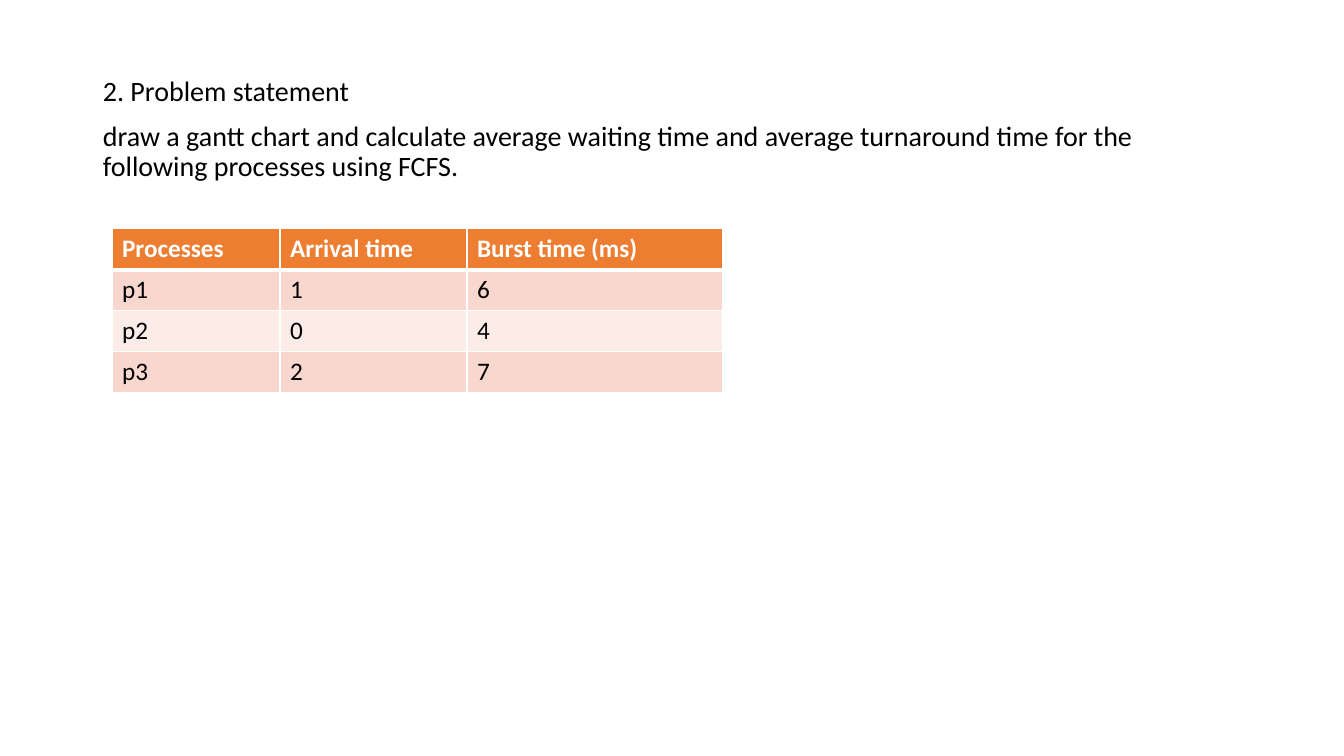
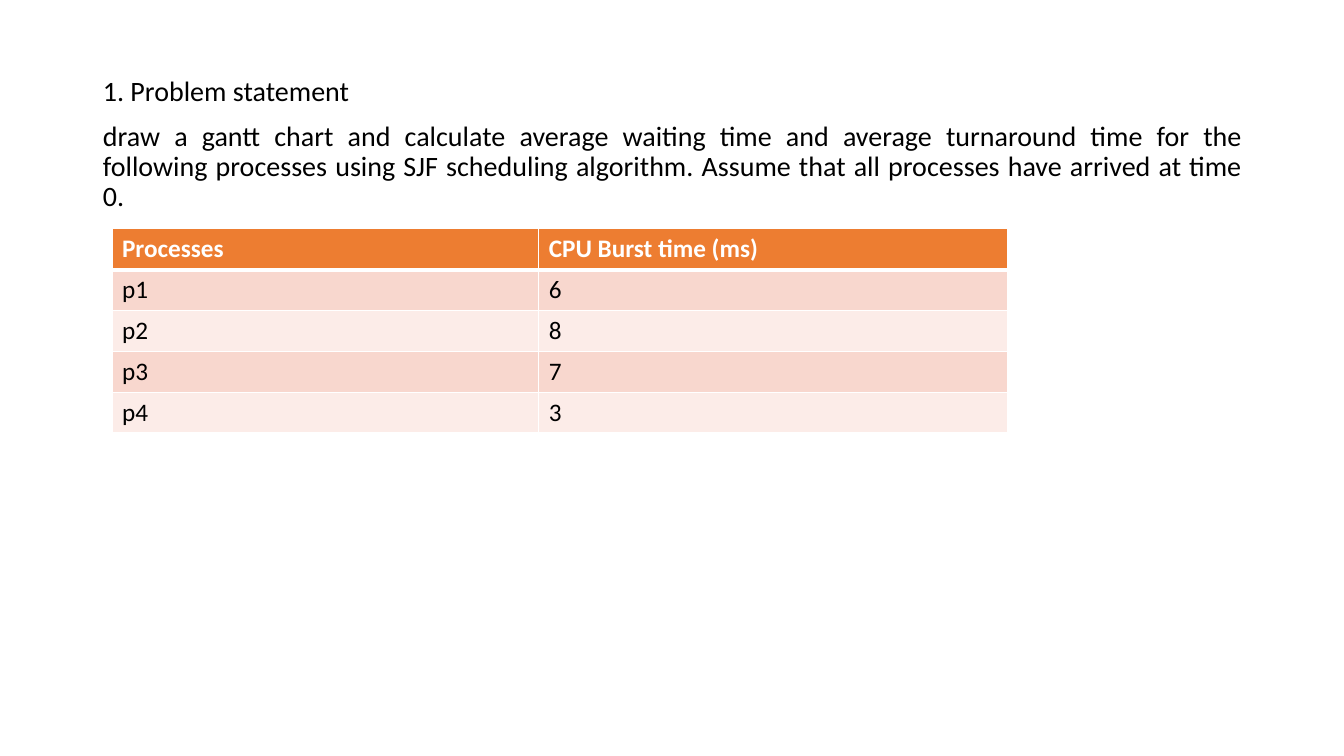
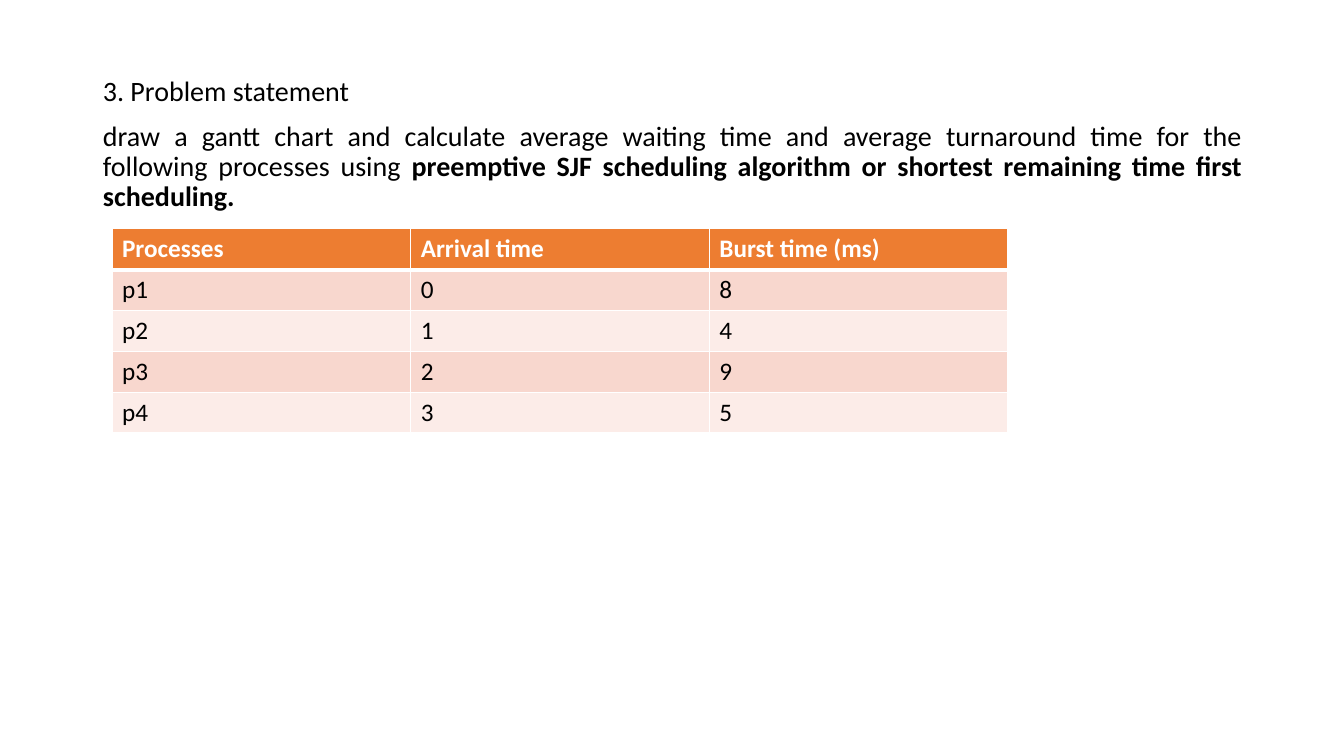
from lxml.etree import SubElement
from pptx import Presentation
from pptx.dml.color import RGBColor
from pptx.enum.text import MSO_ANCHOR, PP_ALIGN
from pptx.oxml.ns import qn
from pptx.util import Inches, Pt

# Shared style
FONT = "Calibri"
BLACK = RGBColor(0x00, 0x00, 0x00)
WHITE = RGBColor(0xFF, 0xFF, 0xFF)
ORANGE = RGBColor(0xED, 0x7D, 0x31)
DARK_BAND = RGBColor(0xF8, 0xD7, 0xCE)
LIGHT_BAND = RGBColor(0xFC, 0xEC, 0xE8)

BODY = {"name": FONT, "size": Pt(20), "bold": False}
STRONG = {**BODY, "bold": True}
CELL = {"name": FONT, "size": Pt(18), "bold": False}
HEADER = {**CELL, "bold": True}

# Slide grid
WIDTH, HEIGHT = Inches(13.33), Inches(7.5)
COLUMNS, ROWS = 12, 18.5
TABLE_LEFT, TABLE_TOP = 1, 5.6
TABLE_COLUMNS = 8

TASK = (
    "draw a gantt chart and calculate average waiting time and average "
    "turnaround time for the following processes using "
)


def across(columns):
    return round(WIDTH * columns / COLUMNS)


def down(rows):
    return round(HEIGHT * rows / ROWS)


class Deck:
    """Holds the presentation, its style and the current slide."""

    def __init__(self):
        self.presentation = Presentation()
        self.presentation.slide_width = WIDTH
        self.presentation.slide_height = HEIGHT
        self.slide = None

    def add_slide(self):
        blank = self.presentation.slide_layouts[6]
        self.slide = self.presentation.slides.add_slide(blank)

    def add_text(self, paragraph, text, style, color):
        run = paragraph.add_run()
        run.text = text
        for name, value in style.items():
            setattr(run.font, name, value)
        run.font.color.rgb = color

    def statement(self, number, runs, alignment, rows):
        """Numbered heading above the task; runs are (text, style) pairs."""
        shape = self.slide.shapes.add_textbox(
            across(0.83), down(0.69), across(10.35), down(rows))
        frame = shape.text_frame
        frame.word_wrap = True
        frame.vertical_anchor = MSO_ANCHOR.TOP
        frame.margin_top = Inches(0.49)
        heading = [(f"{number}. Problem statement", BODY)]
        paragraphs = (frame.paragraphs[0], frame.add_paragraph())
        formats = (
            {"alignment": PP_ALIGN.LEFT, "space_before": Pt(0)},
            {"alignment": alignment, "space_before": Pt(10)},
        )
        for paragraph, values, content in zip(paragraphs, formats, (heading, runs)):
            for name, value in {"line_spacing": 0.9, **values}.items():
                setattr(paragraph, name, value)
            for text, style in content:
                self.add_text(paragraph, text, style, BLACK)

    def borders(self, cell, widths):
        properties = cell._tc.get_or_add_tcPr()
        for side, width in widths.items():
            line = SubElement(properties, qn(f"a:ln{side}"), w=str(Pt(width)))
            fill = SubElement(line, qn("a:solidFill"))
            SubElement(fill, qn("a:srgbClr"), val=str(WHITE))

    def process_table(self, widths, records):
        """Banded table with a header row; widths are in grid columns."""
        table = self.slide.shapes.add_table(
            len(records), len(widths), across(TABLE_LEFT), down(TABLE_TOP),
            across(sum(widths)), down(len(records))).table
        for column, width in zip(table.columns, widths):
            column.width = across(width)
        for row_index, record in enumerate(records):
            table.rows[row_index].height = down(1)
            is_header = row_index == 0
            band = DARK_BAND if row_index % 2 else LIGHT_BAND
            sides = {"L": 1, "R": 1,
                     "T": 3 if row_index == 1 else 1,
                     "B": 3 if is_header else 1}
            for column_index, text in enumerate(record):
                cell = table.cell(row_index, column_index)
                self.borders(cell, sides)
                cell.fill.solid()
                cell.fill.fore_color.rgb = ORANGE if is_header else band
                self.add_text(cell.text_frame.paragraphs[0], text,
                              HEADER if is_header else CELL,
                              WHITE if is_header else BLACK)


def main():
    deck = Deck()
    timed_header = ("Processes", "Arrival time", "Burst time (ms)")

    # First come, first served
    deck.add_slide()
    deck.statement(2, [(TASK + "FCFS.", BODY)], PP_ALIGN.LEFT, 17.81)
    deck.process_table((1.5, 1.67, 2.28), (
        timed_header,
        ("p1", "1", "6"),
        ("p2", "0", "4"),
        ("p3", "2", "7"),
    ))

    # Shortest job first
    deck.add_slide()
    deck.statement(1, [(
        TASK + "SJF scheduling algorithm. Assume that all processes "
        "have arrived at time 0.", BODY)], PP_ALIGN.JUSTIFY, 17.81)
    deck.process_table((3.81, TABLE_COLUMNS - 3.81), (
        ("Processes", "CPU Burst time (ms)"),
        ("p1", "6"),
        ("p2", "8"),
        ("p3", "7"),
        ("p4", "3"),
    ))

    # Shortest remaining time first
    deck.add_slide()
    deck.statement(3, [
        (TASK, BODY),
        ("preemptive SJF scheduling algorithm or shortest remaining "
         "time first scheduling.", STRONG),
    ], PP_ALIGN.JUSTIFY, 16.13)
    deck.process_table((TABLE_COLUMNS / 3,) * 3, (
        timed_header,
        ("p1", "0", "8"),
        ("p2", "1", "4"),
        ("p3", "2", "9"),
        ("p4", "3", "5"),
    ))

    deck.presentation.save("out.pptx")


if __name__ == "__main__":
    main()
